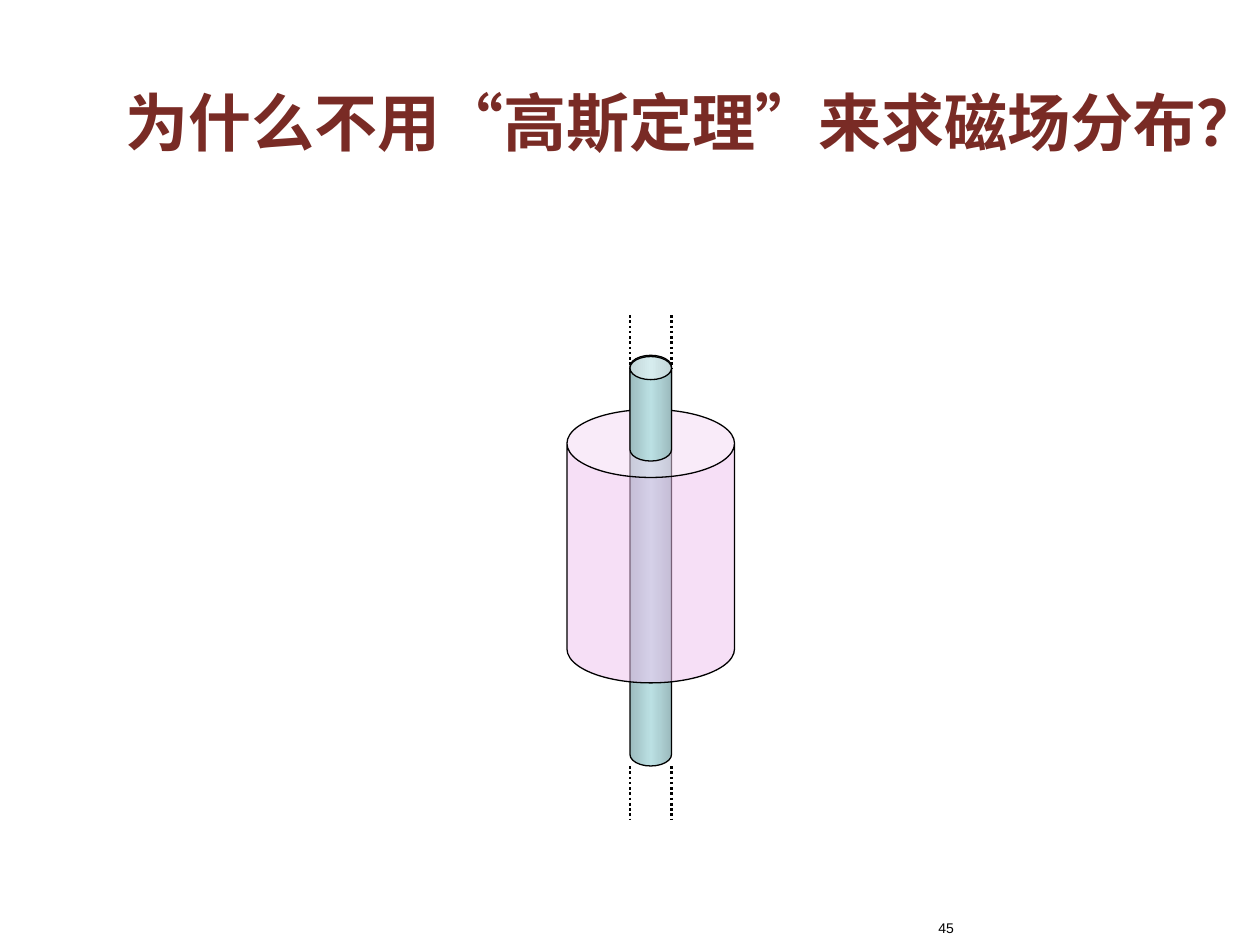
from copy import deepcopy
from dataclasses import dataclass

from lxml import etree
from pptx import Presentation
from pptx.dml.color import RGBColor
from pptx.enum.dml import MSO_LINE
from pptx.enum.lang import MSO_LANGUAGE_ID
from pptx.enum.shapes import MSO_CONNECTOR, MSO_SHAPE
from pptx.enum.text import MSO_ANCHOR, PP_ALIGN
from pptx.oxml.ns import qn
from pptx.util import Inches, Pt

CAN = MSO_SHAPE.CAN
STRAIGHT = MSO_CONNECTOR.STRAIGHT
DOTTED = MSO_LINE.ROUND_DOT
CHINESE = MSO_LANGUAGE_ID.SIMPLIFIED_CHINESE
MIDDLE, TOP = MSO_ANCHOR.MIDDLE, MSO_ANCHOR.TOP
CENTER, RIGHT = PP_ALIGN.CENTER, PP_ALIGN.RIGHT

COLORS = {
    "title": "792B25",
    "ink": "000000",
    "wire_edge": "9CBBBE",
    "wire_middle": "BBE0E3",
    "gauss_surface": "EFC1EE",
}
WIRE_LEFT, WIRE_WIDTH = 5, 0.33
EXTENSION_LENGTH = 0.42


@dataclass
class Label:
    text: str
    left: float
    top: float
    width: float
    height: float
    font: str
    size: int
    color: str
    bold: bool
    align: PP_ALIGN
    anchor: MSO_ANCHOR


@dataclass
class Cylinder:
    left: float
    top: float
    width: float
    height: float
    rim: float
    is_wire: bool


LABELS = [
    Label("为什么不用“高斯定理”来求磁场分布？", 0.83, 0.42, 8.83, 1.08,
          "Times New Roman", 36, "title", True, CENTER, MIDDLE),
    Label("45", 6.75, 7.25, 0.92, 0.25, "Arial", 8, "ink", False, RIGHT, TOP),
]
WIRE = Cylinder(WIRE_LEFT, 2.82, WIRE_WIDTH, 3.26, 0.557, True)
GAUSS_SURFACE = Cylinder(4.5, 3.25, 1.33, 2.17, 0.406, False)
WIRE_FRONT = Cylinder(WIRE_LEFT, 2.83, WIRE_WIDTH, 0.83, 0.557, True)


def rgb(name: str) -> RGBColor:
    return RGBColor.from_string(COLORS[name])


def draw_label(slide, label: Label) -> None:
    box = slide.shapes.add_textbox(Inches(label.left), Inches(label.top),
                                   Inches(label.width), Inches(label.height))
    frame = box.text_frame
    frame.word_wrap = True
    frame.vertical_anchor = label.anchor
    frame.text = label.text
    paragraph = frame.paragraphs[0]
    paragraph.alignment = label.align
    font = paragraph.runs[0].font
    font.name = label.font
    font.size = Pt(label.size)
    font.bold = label.bold
    font.color.rgb = rgb(label.color)
    font.language_id = CHINESE


def fill_wire(fill) -> None:
    fill.gradient()
    fill.gradient_angle = 0
    first, last = fill.gradient_stops
    for stop, position, color in ((first, 0, "wire_edge"), (last, 0.5, "wire_middle")):
        stop.position = position
        stop.color.rgb = rgb(color)
    stops = fill._xPr.find(qn("a:gradFill")).find(qn("a:gsLst"))
    closing_stop = deepcopy(stops[0])
    closing_stop.set("pos", "100000")
    stops.append(closing_stop)


def fill_gauss_surface(fill) -> None:
    fill.solid()
    fill.fore_color.rgb = rgb("gauss_surface")
    color = fill._xPr.find(qn("a:solidFill"))[0]
    etree.SubElement(color, qn("a:alpha")).set("val", "50000")


def draw_cylinder(slide, cylinder: Cylinder) -> None:
    can = slide.shapes.add_shape(CAN, Inches(cylinder.left), Inches(cylinder.top),
                                 Inches(cylinder.width), Inches(cylinder.height))
    can.adjustments[0] = cylinder.rim
    can.shadow.inherit = False
    can.line.color.rgb = rgb("ink")
    can.line.width = Pt(0.75)
    if cylinder.is_wire:
        fill_wire(can.fill)
    else:
        fill_gauss_surface(can.fill)


def draw_extension(slide, x: float, top: float) -> None:
    extension = slide.shapes.add_connector(STRAIGHT, Inches(x), Inches(top),
                                           Inches(x), Inches(top + EXTENSION_LENGTH))
    extension.line.color.rgb = rgb("ink")
    extension.line.width = Pt(1.5)
    extension.line.dash_style = DOTTED
    etree.SubElement(extension._element.spPr, qn("a:effectLst"))


def main() -> None:
    presentation = Presentation()
    presentation.slide_width = Inches(10)
    presentation.slide_height = Inches(7.5)
    slide = presentation.slides.add_slide(presentation.slide_layouts[6])
    for label in LABELS:
        draw_label(slide, label)
    draw_cylinder(slide, WIRE)
    for top in (2.5, WIRE.top + WIRE.height):
        for x in (WIRE_LEFT, WIRE_LEFT + WIRE_WIDTH):
            draw_extension(slide, x, top)
    draw_cylinder(slide, GAUSS_SURFACE)
    draw_cylinder(slide, WIRE_FRONT)
    presentation.save("out.pptx")


if __name__ == "__main__":
    main()
